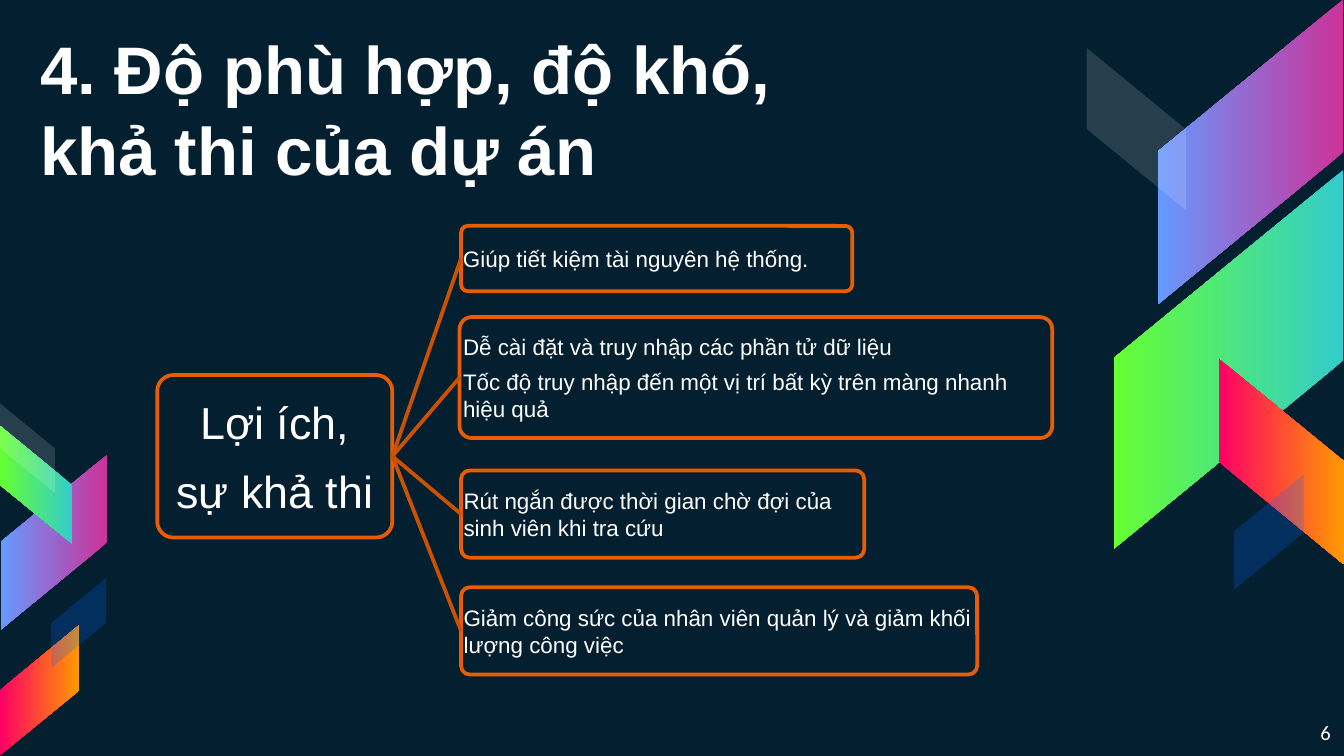
from dataclasses import dataclass
from typing import NamedTuple

from lxml import etree
from pptx import Presentation
from pptx.dml.color import RGBColor
from pptx.enum.shapes import MSO_CONNECTOR, MSO_SHAPE
from pptx.enum.text import MSO_ANCHOR, MSO_AUTO_SIZE, PP_ALIGN
from pptx.oxml.ns import qn
from pptx.util import Pt

PARALLELOGRAM = MSO_SHAPE.PARALLELOGRAM
ROUNDED = MSO_SHAPE.ROUNDED_RECTANGLE
STRAIGHT = MSO_CONNECTOR.STRAIGHT
TOP, MIDDLE = MSO_ANCHOR.TOP, MSO_ANCHOR.MIDDLE
LEFT, CENTER, RIGHT = PP_ALIGN.LEFT, PP_ALIGN.CENTER, PP_ALIGN.RIGHT
LEFT_SIDE, RIGHT_SIDE = 1, 3
TITLE_ONLY = 5


@dataclass(frozen=True)
class Theme:
    background: str = "041F30"
    text: str = "FFFFFF"
    outline: str = "E75D00"
    connector: str = "CC5200"
    font: str = "Arial"
    number_font: str = "Calibri"
    title_size: float = 36
    root_size: float = 24
    branch_size: float = 12
    number_size: float = 11
    line_width: float = 2
    space_after: float = 0.35  # share of the type size


class Box(NamedTuple):
    left: float
    top: float
    width: float
    height: float

    def lengths(self) -> list:
        return [Pt(value) for value in self]


class Paint(NamedTuple):
    colors: tuple  # two colours make a gradient
    opacity: int = 100


class Ribbon(NamedTuple):
    box: Box
    rotation: int
    flipped: bool
    paint: Paint


class Node(NamedTuple):
    box: Box
    lines: tuple


THEME = Theme()
VIOLET = Paint(("CC3399", "6699FF"))
GREEN = Paint(("33CCCC", "66FF33"))
FLAME = Paint(("FF0066", "FF9900"))
MIST = Paint(("FFFFFF",), 14)
NAVY = Paint(("0066FF",), 23)

RIBBONS = [
    # Right side
    Ribbon(Box(588.2, 31.7, 163.4, 99.4), 90, True, VIOLET),
    Ribbon(Box(556.6, 131, 203, 123.1), 90, True, GREEN),
    Ribbon(Box(631.4, 213.8, 110.2, 67), 270, False, FLAME),
    Ribbon(Box(565.2, 42.5, 87.1, 53.3), 270, False, MIST),
    Ribbon(Box(648.7, 266.4, 61.9, 37.4), 270, True, NAVY),
    # Left side
    Ribbon(Box(-18, 262.1, 93.6, 56.9), 90, True, VIOLET),
    Ribbon(Box(-12.2, 240.5, 63.4, 38.9), 90, False, GREEN),
    Ribbon(Box(-13.7, 348.5, 69.8, 42.5), 270, True, FLAME),
    Ribbon(Box(-9.4, 225.4, 48.2, 29.5), 270, False, MIST),
    Ribbon(Box(18, 319, 48.2, 29.5), 270, True, NAVY),
]
TITLE = Node(Box(14.4, 11, 690, 94), ("4. Độ phù hợp, độ khó,", "khả thi của dự án"))
NUMBER = Node(Box(673.9, 378.7, 46.1, 25.9), ("6",))
ROOT = Node(Box(84.2, 200.9, 126, 87.1), ("Lợi ích,", "sự khả thi"))
BRANCHES = [
    Node(Box(247, 121, 209.5, 35), ("Giúp tiết kiệm tài nguyên hệ thống.",)),
    Node(Box(246.2, 169.9, 317.5, 64.8), (
        "Dễ cài đặt và truy nhập các phần tử dữ liệu",
        "Tốc độ truy nhập đến một vị trí bất kỳ trên màng nhanh hiệu quả")),
    Node(Box(247, 252, 216, 46.8),
         ("Rút ngắn được thời gian chờ đợi của sinh viên khi tra cứu",)),
    Node(Box(247, 314.6, 276.5, 46.8),
         ("Giảm công sức của nhân viên quản lý và giảm khối lượng công việc",)),
]


def rgb(color: str) -> RGBColor:
    return RGBColor.from_string(color)


def write(shape, lines: tuple, size: float, align, anchor, margins: tuple,
          font: str = THEME.font, bold: bool = False, space_after: float = 0) -> None:
    frame = shape.text_frame
    frame.word_wrap = True
    frame.auto_size = MSO_AUTO_SIZE.NONE
    frame.vertical_anchor = anchor
    horizontal, vertical = (Pt(margin) for margin in margins)
    frame.margin_left = frame.margin_right = horizontal
    frame.margin_top = frame.margin_bottom = vertical
    for index, line in enumerate(lines):
        paragraph = frame.add_paragraph() if index else frame.paragraphs[0]
        paragraph.alignment = align
        paragraph.space_after = Pt(size * space_after)
        run = paragraph.add_run()
        run.text = line
        run.font.name = font
        run.font.size = Pt(size)
        run.font.bold = bold
        run.font.color.rgb = rgb(THEME.text)


def apply_paint(shape, paint: Paint) -> None:
    if len(paint.colors) == 2:
        shape.fill.gradient()
        shape.fill.gradient_angle = 270
        for stop, color in zip(shape.fill.gradient_stops, paint.colors):
            stop.color.rgb = rgb(color)
        return
    shape.fill.solid()
    shape.fill.fore_color.rgb = rgb(paint.colors[0])
    color_element = shape._element.spPr.find(qn("a:solidFill"))[0]
    alpha = etree.SubElement(color_element, qn("a:alpha"))
    alpha.set("val", str(paint.opacity * 1000))


def draw_ribbon(slide, ribbon: Ribbon) -> None:
    shape = slide.shapes.add_shape(PARALLELOGRAM, *ribbon.box.lengths())
    shape.adjustments[0] = 0.82
    shape.rotation = ribbon.rotation
    if ribbon.flipped:
        shape._element.spPr.find(qn("a:xfrm")).set("flipH", "1")
    apply_paint(shape, ribbon.paint)
    shape.line.fill.background()
    shape.shadow.inherit = False


def draw_node(slide, node: Node, size: float, align, margin: float):
    shape = slide.shapes.add_shape(ROUNDED, *node.box.lengths())
    shape.adjustments[0] = 0.1
    shape.shadow.inherit = False
    shape.fill.solid()
    shape.fill.fore_color.rgb = rgb(THEME.background)
    shape.line.color.rgb = rgb(THEME.outline)
    shape.line.width = Pt(THEME.line_width)
    write(shape, node.lines, size, align, MIDDLE, (margin, margin),
          space_after=THEME.space_after)
    return shape


def join(slide, root, branch) -> None:
    connector = slide.shapes.add_connector(STRAIGHT, 0, 0, 0, 0)
    connector.begin_connect(root, RIGHT_SIDE)
    connector.end_connect(branch, LEFT_SIDE)
    connector.line.color.rgb = rgb(THEME.connector)
    connector.line.width = Pt(THEME.line_width)
    etree.SubElement(connector._element.spPr, qn("a:effectLst"))


def main() -> None:
    presentation = Presentation()
    presentation.slide_width, presentation.slide_height = Pt(720), Pt(405)
    slide = presentation.slides.add_slide(presentation.slide_layouts[TITLE_ONLY])
    slide.background.fill.solid()
    slide.background.fill.fore_color.rgb = rgb(THEME.background)

    # Coloured ribbons on both sides
    for ribbon in RIBBONS:
        draw_ribbon(slide, ribbon)

    # Title and slide number
    title = slide.shapes.title
    title.left, title.top, title.width, title.height = TITLE.box.lengths()
    write(title, TITLE.lines, THEME.title_size, LEFT, TOP, (7.2, 3.6), bold=True)
    number = slide.shapes.add_textbox(*NUMBER.box.lengths())
    write(number, NUMBER.lines, THEME.number_size, RIGHT, TOP, (7.2, 7.2),
          font=THEME.number_font)

    # Tree of benefits
    root = draw_node(slide, ROOT, THEME.root_size, CENTER, 1.2)
    for node in BRANCHES:
        branch = draw_node(slide, node, THEME.branch_size, LEFT, 0)
        join(slide, root, branch)

    presentation.save("out.pptx")


if __name__ == "__main__":
    main()
